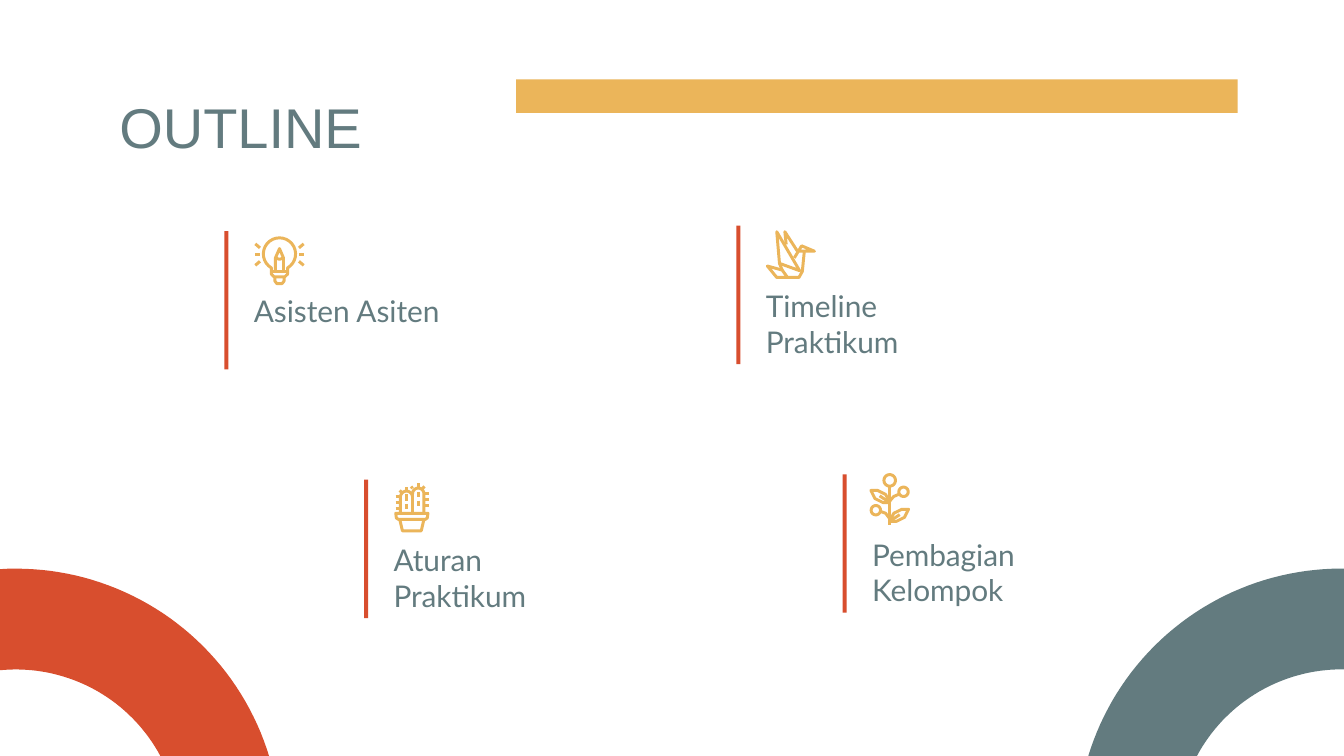
from math import cos, radians, sin

from pptx import Presentation
from pptx.dml.color import RGBColor
from pptx.enum.shapes import MSO_SHAPE as Preset
from pptx.enum.text import MSO_ANCHOR as Anchor
from pptx.util import Inches, Pt

color = RGBColor.from_string
GOLD, SLATE, RED = "EBB55A", "637B7F", "D84E2E"


def arc(x, y, radius, start, end, steps=24):
    angles = [radians(start + (end - start) * i / steps) for i in range(steps + 1)]
    return [(x + radius * cos(a), y + radius * sin(a)) for a in angles]


def trace(contours, left=0, top=0, unit=1):
    outlines = [
        [(Inches(left + x * unit), Inches(top + y * unit)) for x, y in contour]
        for contour in contours
    ]
    builder = page.shapes.build_freeform(*outlines[0][0])
    for number, outline in enumerate(outlines):
        if number:
            builder.move_to(*outline[0])
        builder.add_line_segments(outline[1:], close=False)
    shape = builder.convert_to_shape()
    shape.shadow.inherit = False
    return shape


bulb = [
    arc(41, 17, 12, 120, 420) + [(47, 32), (45, 34), (37, 34), (35, 32), (35, 27.4)],
    [(35, 30), (47, 30)],
    [(37.5, 34), (37.5, 37), (39, 39), (43, 39), (44.5, 37), (44.5, 34)],
    [(38, 30), (38, 20), (41, 13), (44, 20), (44, 30)],
    [(38, 20), (41, 21), (44, 20)],
]
for outer, inner in [(9.5, 12.5), (17.5, 17.5), (25.5, 22.5)]:
    bulb += [[(23, outer), (26.5, inner)], [(59, outer), (55.5, inner)]]

bird = [
    [(30, 4.5), (32, 28), (47, 33.5), (30, 4.5)],
    [(37, 14), (36, 4.5), (46, 20)],
    [(43, 24), (48.5, 15), (58, 19), (46.5, 19)],
    [(50.5, 19), (49, 34), (46.5, 38.5), (30, 38.5), (23, 30), (34, 33), (38, 38.5)],
    [(32, 28), (34, 33)],
]

cactus = [
    [(27, 25)] + arc(31.5, 13, 4.5, 180, 360) + [(36, 25)],
    [(36, 25)] + arc(40.25, 10.5, 4.25, 180, 360) + [(44.5, 25)],
    [(23.5, 25), (47.5, 25), (47, 28.5), (45.5, 29.5), (25.5, 29.5), (24, 28.5), (23.5, 25)],
    [(26.5, 29.5), (28.5, 38), (42.5, 38), (44.5, 29.5)],
    [(36, 6.5), (35, 5)],
    [(43, 7), (45, 5)],
    [(28, 9.5), (26.5, 8)],
]
for x, top, bottom in [(31.5, 11, 15.5), (31.5, 18, 22), (40.25, 9, 13),
                       (40.25, 15.5, 19.5), (31.5, 5.5, 8.5), (40.25, 2.5, 6)]:
    cactus.append([(x, top), (x, bottom)])
for y in (12.5, 17, 21.5):
    cactus += [[(23.5, y), (27, y)], [(44.5, y - 2), (48, y - 2)]]

plant = [
    arc(35, 4.5, 4.3, 0, 360),
    arc(45.3, 13, 3.5, 0, 360),
    arc(24.7, 26.7, 3.5, 0, 360),
    [(35, 9), (35, 38)],
    [(35, 20), (38, 16.5), (42, 14.8)],
    [(28, 27.5), (32, 29), (35, 33)],
    [(21, 12), (26, 12), (32, 15), (35, 21), (30, 21), (24, 18), (21, 12)],
    [(27.5, 16), (35, 21)],
    [(49, 26), (44, 26), (38, 29), (35, 35), (40, 35), (46, 32), (49, 26)],
    [(42.5, 30), (35, 35)],
]

deck = Presentation()
deck.slide_width, deck.slide_height = Inches(10), Inches(10) * 9 // 16
page = deck.slides.add_slide(deck.slide_layouts[6])

bars = [(3.84, 0.59, 5.37, 0.25, GOLD)]
texts = [(0.79, 0.59, 3.27, "OUTLINE", {"name": "Arial", "size": Pt(30)}, 0)]
topics = [
    (1.67, 1.72, "Asisten Asiten", bulb),
    (5.48, 1.68, "Timeline \vPraktikum", bird),
    (2.71, 3.57, "Aturan \vPraktikum", cactus),
    (6.27, 3.53, "Pembagian \vKelompok", plant),
]
for left, top, label, icon in topics:
    bars.append((left, top, 0.03, 1.03, RED))
    texts.append((left + 0.12, top + 0.36, 2.5, label, {"name": "Lato", "size": Pt(16)}, 16))

for left, top, width, height, shade in bars:
    bar = page.shapes.add_shape(
        Preset.RECTANGLE, Inches(left), Inches(top), Inches(width), Inches(height)
    )
    bar.shadow.inherit = False
    bar.fill.solid()
    bar.fill.fore_color.rgb = color(shade)
    bar.line.fill.background()

for x, start, end, rotation, shade in [(10.27, 180, 270, 15, SLATE), (-0.17, 360, 270, 345, RED)]:
    outer = arc(x, 5.98, 1.97, start, end, 48)
    inner = arc(x, 5.98, 1.22, end, start, 48)
    ring = trace([outer + inner + outer[:1]])
    ring.rotation = rotation
    ring.fill.solid()
    ring.fill.fore_color.rgb = color(shade)
    ring.line.fill.background()

for left, top, label, icon in topics:
    drawing = trace(icon, left, top, 0.01)
    drawing.fill.background()
    drawing.line.color.rgb = color(GOLD)
    drawing.line.width = Pt(1.6)

frame_format = {"word_wrap": True, "vertical_anchor": Anchor.TOP}
for side in ("left", "top", "right", "bottom"):
    frame_format[f"margin_{side}"] = Inches(0.1)

for left, top, width, label, font_format, after in texts:
    box = page.shapes.add_textbox(Inches(left), Inches(top), Inches(width), Inches(0.63))
    for name, value in frame_format.items():
        setattr(box.text_frame, name, value)
    para = box.text_frame.paragraphs[0]
    para.text = label
    para.space_after = Pt(after)
    for span in para.runs:
        for name, value in font_format.items():
            setattr(span.font, name, value)
        span.font.color.rgb = color(SLATE)

deck.save("out.pptx")
